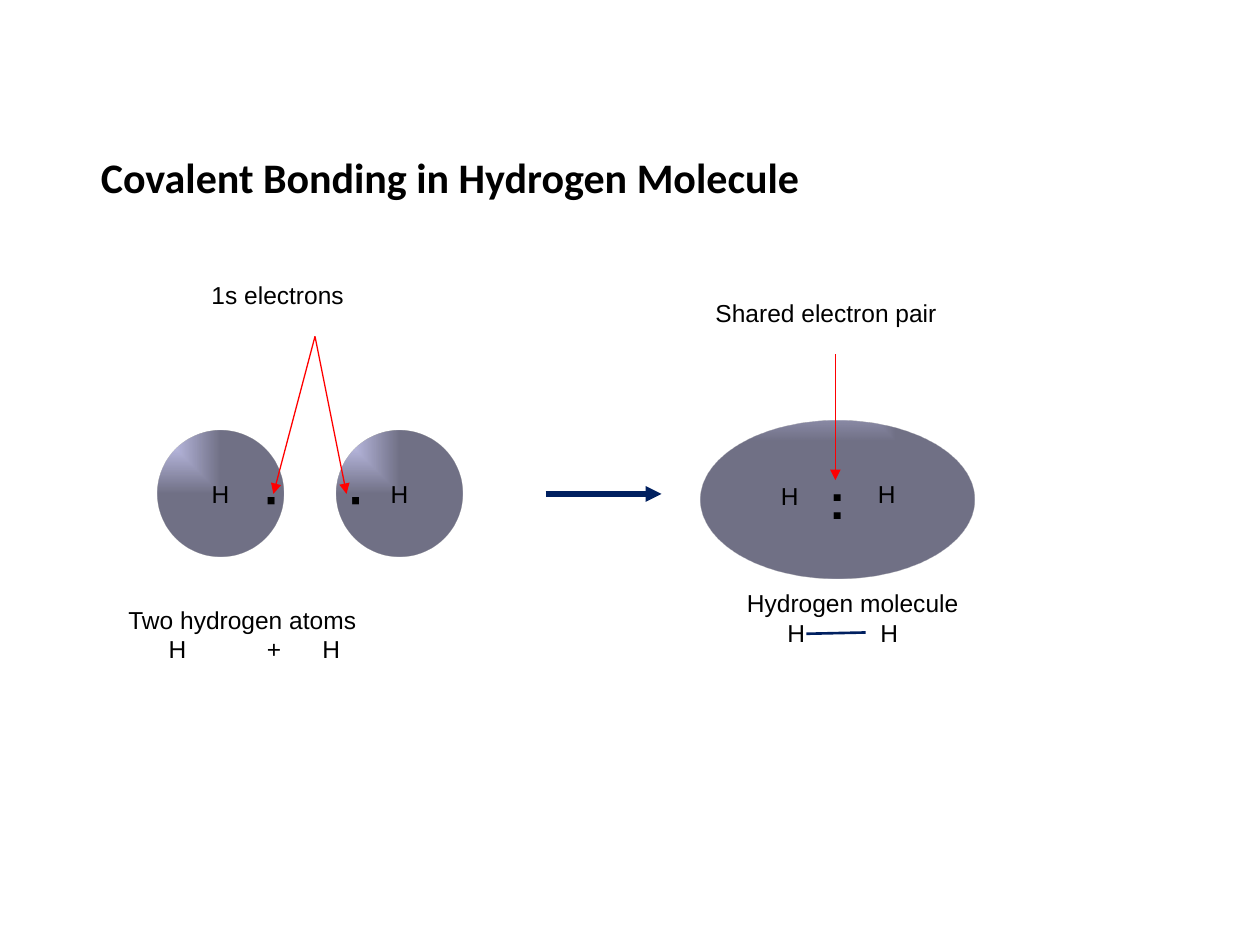
"""Build a slide on covalent bonding in the hydrogen molecule."""
from dataclasses import dataclass

import lxml.etree
import pptx
import pptx.dml.color
import pptx.enum.shapes
import pptx.enum.text
import pptx.oxml
import pptx.oxml.ns
import pptx.util

Inches = pptx.util.Inches
BLACK, NAVY, RED = "000000", "002060", "FF0000"
LEFT = pptx.enum.text.PP_ALIGN.LEFT
CENTER = pptx.enum.text.PP_ALIGN.CENTER
TOP = pptx.enum.text.MSO_ANCHOR.TOP
MIDDLE = pptx.enum.text.MSO_ANCHOR.MIDDLE
LABEL = {"name": "Arial", "size": pptx.util.Pt(14), "bold": False}
ELECTRON = {"name": "Arial", "size": pptx.util.Pt(28), "bold": True}
TITLE = {"name": "Calibri", "size": pptx.util.Pt(24), "bold": True}
CLOUD_FILL = (
    f'<a:gradFill {pptx.oxml.ns.nsdecls("a")} rotWithShape="1"><a:gsLst>'
    '<a:gs pos="0"><a:srgbClr val="CCCCFF"><a:alpha val="88000"/></a:srgbClr></a:gs>'
    '<a:gs pos="100000"><a:srgbClr val="5E5E76"><a:alpha val="88000"/></a:srgbClr></a:gs>'
    '</a:gsLst><a:path path="rect"><a:fillToRect r="100000" b="100000"/></a:path></a:gradFill>'
)


@dataclass
class Cloud:
    """An electron cloud with centred text."""
    left: float
    top: float
    width: float
    height: float
    text: str
    font: dict


@dataclass
class Label:
    """A text box, with tab stops for its last line."""
    left: float
    top: float
    width: float
    height: float
    lines: tuple[str, ...]
    font: dict
    tabs: tuple[float, ...] = ()


@dataclass
class Line:
    """A straight line, with or without an arrowhead."""
    start: tuple[float, float]
    end: tuple[float, float]
    color: str
    width: float
    arrow: bool = True


CLOUDS = [Cloud(left, 3.42, 1, 1, "H", LABEL) for left in (1.25, 2.67)]
CLOUDS.append(Cloud(5.56, 3.34, 2.17, 1.25, ":", ELECTRON))

LABELS = [Label(left, 3.67, 0.3, 0.57, ("∙",), ELECTRON) for left in (2, 2.67)]
LABELS += [
    Label(6.1, 3.77, 0.44, 0.5, ("H",), LABEL),
    Label(6.87, 3.75, 0.44, 0.5, ("H",), LABEL),
    Label(0.92, 4.75, 3.03, 0.9, ("Two hydrogen atoms", "\tH\t+\tH"), LABEL, (0.32, 1.1, 1.54)),
    Label(5.83, 4.62, 2, 0.57, ("Hydrogen molecule", "\tH\tH"), LABEL, (0.32, 1.06)),
    Label(1.58, 2.17, 1.78, 0.5, ("1s electrons",), LABEL),
    Label(5.58, 2.32, 2.88, 0.5, ("Shared electron pair",), LABEL),
]

LINES = [
    Line((4.33, 3.92), (5.25, 3.92), NAVY, 3),
    Line((6.4, 5.03), (6.87, 5.02), NAVY, 1.5, False),
    Line((2.5, 2.67), (2.17, 3.92), RED, 0.75),
    Line((2.5, 2.67), (2.75, 3.92), RED, 0.75),
    Line((6.63, 2.81), (6.63, 3.81), RED, 0.75),
]


def rgb(value: str) -> pptx.dml.color.RGBColor:
    """Turn a hex string into a colour."""
    return pptx.dml.color.RGBColor.from_string(value)


def write(shape, lines: tuple[str, ...], font: dict, align=LEFT, anchor=TOP) -> None:
    """Write one formatted paragraph for each line."""
    frame = shape.text_frame
    frame.word_wrap = True
    frame.vertical_anchor = anchor
    for index, text in enumerate(lines):
        para = frame.add_paragraph() if index else frame.paragraphs[0]
        para.alignment = align
        span = para.add_run()
        span.text = text
        for name, value in font.items():
            setattr(span.font, name, value)
        span.font.color.rgb = rgb(BLACK)


def draw_cloud(page, cloud: Cloud) -> None:
    """Draw an ellipse with a gradient from its top left corner."""
    shape = page.shapes.add_shape(
        pptx.enum.shapes.MSO_SHAPE.OVAL,
        *map(Inches, (cloud.left, cloud.top, cloud.width, cloud.height)))
    shape.shadow.inherit = False
    shape.line.fill.background()
    shape.fill.background()
    properties = shape.element.spPr
    blank = properties.find(pptx.oxml.ns.qn("a:noFill"))
    properties.replace(blank, pptx.oxml.parse_xml(CLOUD_FILL))
    write(shape, (cloud.text,), cloud.font, CENTER, MIDDLE)


def draw_label(page, label: Label) -> None:
    """Draw a text box and set its tab stops."""
    box = page.shapes.add_textbox(
        *map(Inches, (label.left, label.top, label.width, label.height)))
    write(box, label.lines, label.font)
    if label.tabs:
        properties = box.text_frame.paragraphs[-1]._p.get_or_add_pPr()
        stops = lxml.etree.SubElement(properties, pptx.oxml.ns.qn("a:tabLst"))
        for position in label.tabs:
            lxml.etree.SubElement(stops, pptx.oxml.ns.qn("a:tab"),
                                  pos=str(Inches(position)), algn="l")


def draw_line(page, line: Line) -> None:
    """Draw a straight connector without a shadow."""
    connector = page.shapes.add_connector(
        pptx.enum.shapes.MSO_CONNECTOR.STRAIGHT, *map(Inches, line.start + line.end))
    connector.line.color.rgb = rgb(line.color)
    connector.line.width = pptx.util.Pt(line.width)
    if line.arrow:
        lxml.etree.SubElement(connector.line._get_or_add_ln(),
                              pptx.oxml.ns.qn("a:tailEnd"), type="triangle")
    lxml.etree.SubElement(connector.element.spPr, pptx.oxml.ns.qn("a:effectLst"))


def main() -> None:
    """Build and save the deck."""
    deck = pptx.Presentation()
    deck.slide_width, deck.slide_height = Inches(10), Inches(7.5)
    page = deck.slides.add_slide(deck.slide_layouts[5])
    title = page.shapes.title
    place = {"left": 0.7, "top": 1.15, "width": 7.76, "height": 0.5}
    for name, value in place.items():
        setattr(title, name, Inches(value))
    write(title, ("Covalent Bonding in Hydrogen Molecule",), TITLE)
    for cloud in CLOUDS:
        draw_cloud(page, cloud)
    for label in LABELS:
        draw_label(page, label)
    for line in LINES:
        draw_line(page, line)
    deck.save("out.pptx")


if __name__ == "__main__":
    main()
